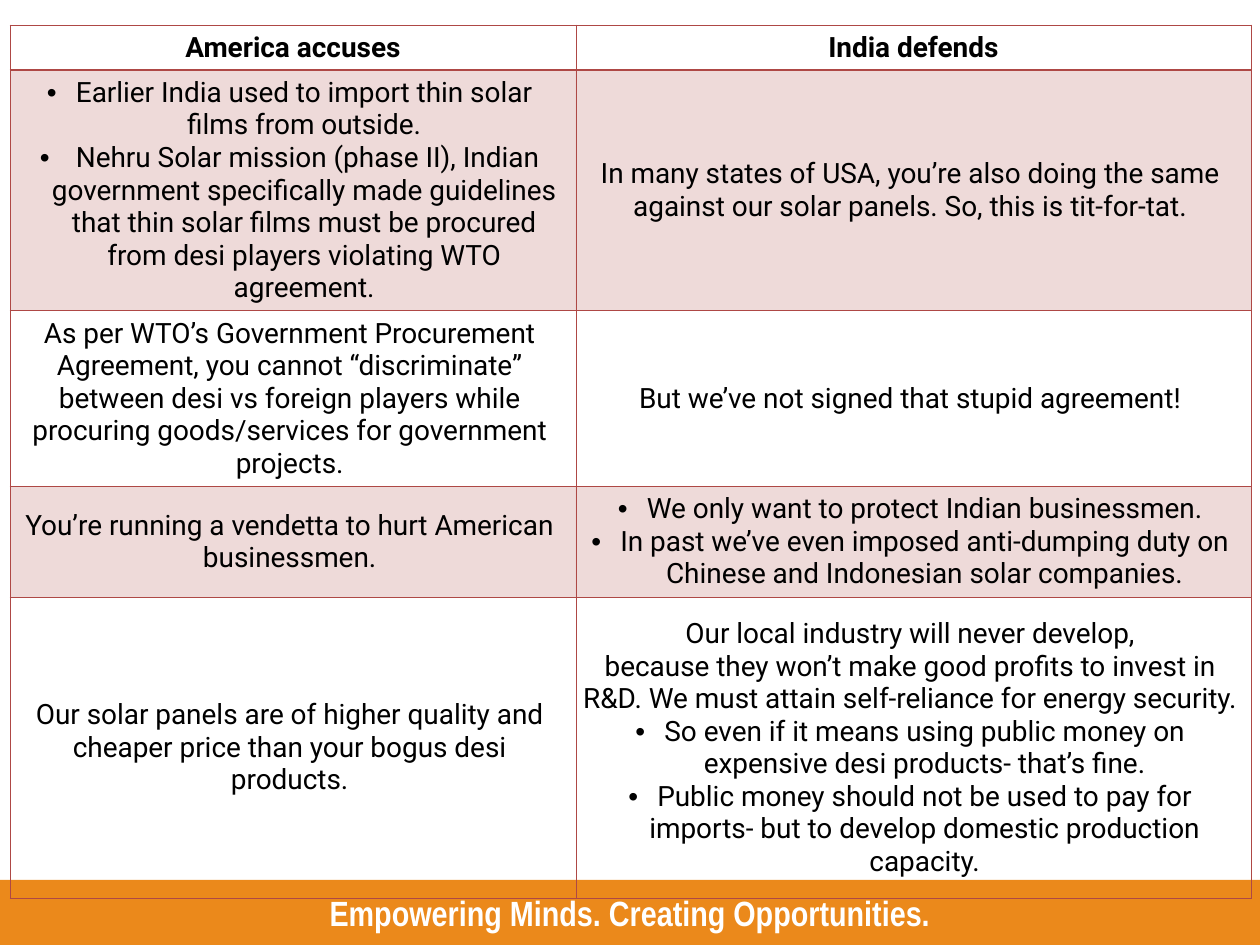
from lxml import etree
from pptx import Presentation
from pptx.dml.color import RGBColor
from pptx.enum.shapes import MSO_SHAPE
from pptx.enum.text import MSO_ANCHOR, PP_ALIGN
from pptx.oxml.ns import qn
from pptx.util import Pt

RECT = MSO_SHAPE.RECTANGLE
MIDDLE = MSO_ANCHOR.MIDDLE
CENTER = PP_ALIGN.CENTER

BLACK = RGBColor(0x00, 0x00, 0x00)
WHITE = RGBColor(0xFF, 0xFF, 0xFF)
ORANGE = RGBColor(0xEB, 0x89, 0x1B)
RED = RGBColor(0xAE, 0x48, 0x45)

WIDTH, HEIGHT = 1260, 945
BAR = 65
HANG = 29
COLS = [566, 675]
ROWS = [45, 240, 176, 110, 302]

# Each cell is a list of (text, bulleted) paragraphs.
CELLS = [
    [[("America accuses", False)], [("India defends", False)]],
    [
        [("Earlier India used to import thin solar films from outside.", True),
         (" Nehru Solar mission (phase II), Indian government specifically made "
          "guidelines that thin solar films must be procured from desi players "
          "violating WTO agreement.", True)],
        [("In many states of USA, you’re also doing the same against our solar "
          "panels. So, this is tit-for-tat.", False)],
    ],
    [
        [("As per WTO’s Government Procurement Agreement, you cannot "
          "“discriminate” between desi vs foreign players while procuring "
          "goods/services for government projects.", False)],
        [("But we’ve not signed that stupid agreement!", False)],
    ],
    [
        [("You’re running a vendetta to hurt American businessmen.", False)],
        [("We only want to protect Indian businessmen.", True),
         ("In past we’ve even imposed anti-dumping duty on Chinese and "
          "Indonesian solar companies.", True)],
    ],
    [
        [("Our solar panels are of higher quality and cheaper price than your "
          "bogus desi products.", False)],
        [("Our local industry will never develop,", False),
         ("because they won’t make good profits to invest in R&D. We must "
          "attain self-reliance for energy security.", False),
         ("So even if it means using public money on expensive desi products- "
          "that’s fine.", True),
         ("Public money should not be used to pay for imports- but to develop "
          "domestic production capacity.", True)],
    ],
]


def px(n):
    return round(n * 914400 / 126)


def node(parent, tag, **attrs):
    return etree.SubElement(parent, qn(tag), attrs)


class Deck:
    font = "Roboto"
    size = 16
    line = 0.45
    thick = 0.96

    def __init__(self):
        self.prs = Presentation()
        self.prs.slide_width, self.prs.slide_height = px(WIDTH), px(HEIGHT)
        self.slide = self.prs.slides.add_slide(self.prs.slide_layouts[6])

    def run(self, para, text, font, size, color, bold):
        run = para.add_run()
        run.text = text
        run.font.name, run.font.size, run.font.bold = font, Pt(size), bold
        run.font.color.rgb = color

    def bar(self, x, y, w, h, text):
        shape = self.slide.shapes.add_shape(RECT, px(x), px(y), px(w), px(h))
        shape.shadow.inherit = False
        shape.fill.solid()
        shape.fill.fore_color.rgb = ORANGE
        shape.line.fill.background()
        frame = shape.text_frame
        frame.vertical_anchor = MIDDLE
        para = frame.paragraphs[0]
        para.alignment = CENTER
        self.run(para, text, "Arial Narrow", 20, WHITE, True)

    def bullet(self, para):
        props = para._p.get_or_add_pPr()
        props.set("marL", str(px(HANG)))
        props.set("indent", str(-px(HANG)))
        color = node(props, "a:buClr")
        node(color, "a:srgbClr", val=str(BLACK))
        node(props, "a:buFont", typeface="Arial")
        node(props, "a:buChar", char="•")

    def edges(self, cell, row):
        """Draw all four borders, heavier on the rule below the header."""
        props = cell._tc.get_or_add_tcPr()
        heavy = {0: "B", 1: "T"}.get(row)
        for side in "LRTB":
            width = self.thick if side == heavy else self.line
            edge = node(props, f"a:ln{side}", w=str(Pt(width)))
            fill = node(edge, "a:solidFill")
            node(fill, "a:srgbClr", val=str(RED))

    def tint(self, cell):
        cell.fill.solid()
        cell.fill.fore_color.rgb = RED
        color = cell._tc.tcPr.find(qn("a:solidFill"))[0]
        node(color, "a:alpha", val="20000")

    def cell(self, cell, row, paras):
        cell.vertical_anchor = MIDDLE
        if row:
            cell.margin_left = px(6)
        self.edges(cell, row)
        if row % 2:
            self.tint(cell)
        else:
            cell.fill.background()
        frame = cell.text_frame
        for i, (text, listed) in enumerate(paras):
            para = frame.add_paragraph() if i else frame.paragraphs[0]
            para.alignment = CENTER
            if listed:
                self.bullet(para)
            self.run(para, text, self.font, self.size, BLACK, row == 0)

    def table(self, x, y, cols, rows, cells):
        frame = self.slide.shapes.add_table(
            len(rows), len(cols), px(x), px(y), px(sum(cols)), px(sum(rows)))
        table = frame.table
        table.horz_banding = False
        for col, width in zip(table.columns, cols):
            col.width = px(width)
        for r, (row, height) in enumerate(zip(table.rows, rows)):
            row.height = px(height)
            for cell, paras in zip(row.cells, cells[r]):
                self.cell(cell, r, paras)


def main():
    deck = Deck()
    deck.bar(0, HEIGHT - BAR, WIDTH, BAR,
             "Empowering Minds. Creating Opportunities.")
    deck.table(10, 25, COLS, ROWS, CELLS)
    deck.prs.save("out.pptx")


if __name__ == "__main__":
    main()
